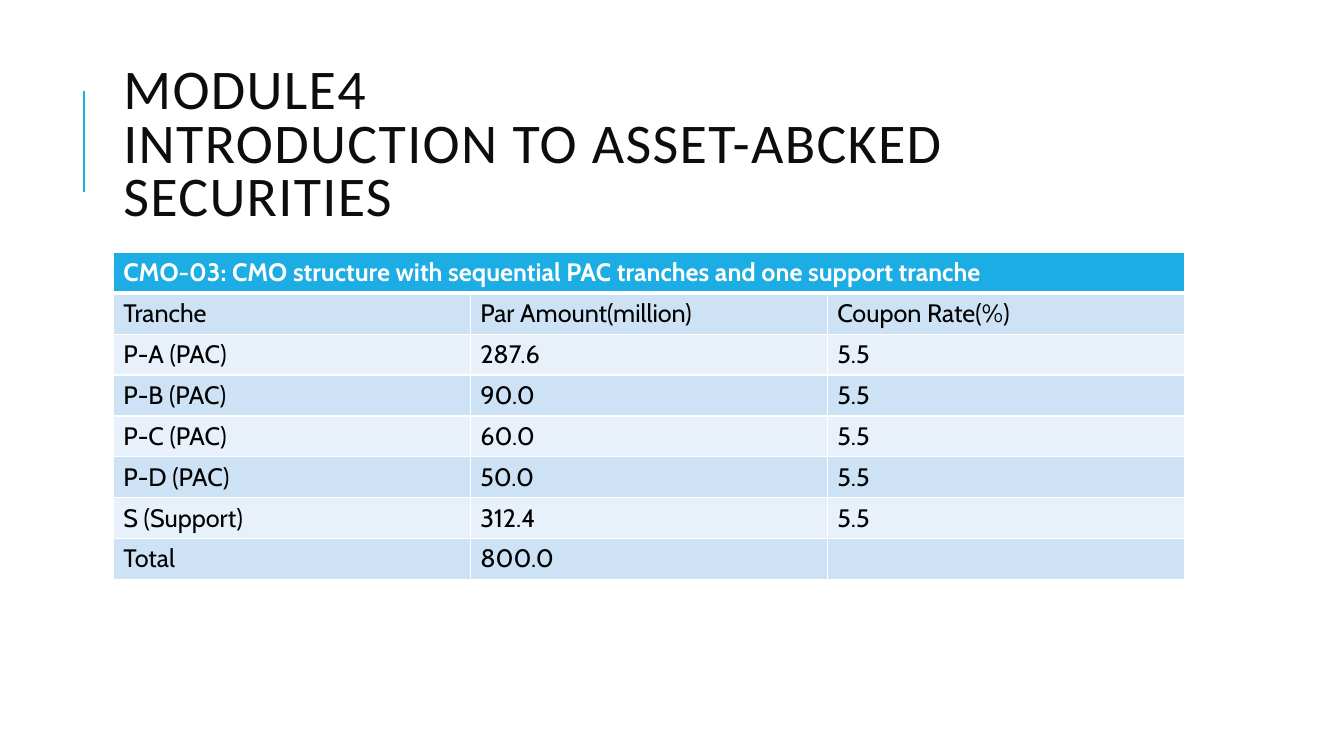
import pptx
import pptx.dml.color
import pptx.enum.shapes
import pptx.enum.text
import pptx.oxml
import pptx.oxml.ns
import pptx.util
from pptx.dml.color import RGBColor
from pptx.util import Pt

ACCENT = RGBColor(0x1C, 0xAD, 0xE4)
WHITE = RGBColor(0xFF, 0xFF, 0xFF)
BLACK = RGBColor(0x00, 0x00, 0x00)
TITLE_INK = RGBColor(0x0D, 0x0D, 0x0D)
BAND_DARK = RGBColor(0xCD, 0xE3, 0xF5)
BAND_LIGHT = RGBColor(0xE8, 0xF1, 0xFA)

TITLE = "MODULE4\vINTRODUCTION TO ASSET-ABCKED SECURITIES"
HEADING = "CMO-03: CMO structure with sequential PAC tranches and one support tranche"
TRANCHES = [
    ("Tranche", "Par Amount(million)", "Coupon Rate(%)"),
    ("P-A (PAC)", "287.6", "5.5"),
    ("P-B (PAC)", "90.0", "5.5"),
    ("P-C (PAC)", "60.0", "5.5"),
    ("P-D (PAC)", "50.0", "5.5"),
    ("S (Support)", "312.4", "5.5"),
    ("Total", "800.0", ""),
]


class SlideBuilder:
    """Holds the text styles and the page being filled."""

    title_font = {"name": "Calibri", "size": Pt(40), "bold": False}
    table_font = {"name": "Cabin", "size": Pt(18)}

    def __init__(self, page):
        self.page = page

    def style(self, para, color, formats):
        for span in para.runs:
            for name, value in formats.items():
                setattr(span.font, name, value)
            span.font.color.rgb = color

    def title(self, text, left, top, width, height):
        box = self.page.shapes.title
        place = {"left": left, "top": top, "width": width, "height": height}
        for name, value in place.items():
            setattr(box, name, Pt(value))
        frame = box.text_frame
        frame.text = text
        frame.word_wrap = True
        frame.auto_size = pptx.enum.text.MSO_AUTO_SIZE.NONE
        frame.vertical_anchor = pptx.enum.text.MSO_ANCHOR.MIDDLE
        para = frame.paragraphs[0]
        para.alignment = pptx.enum.text.PP_ALIGN.LEFT
        para.line_spacing = 0.8
        self.style(para, TITLE_INK, self.title_font)
        for span in para.runs:
            span.font._element.set("spc", "100")

    def line(self, start, end, color, weight):
        connector = self.page.shapes.add_connector(
            pptx.enum.shapes.MSO_CONNECTOR.STRAIGHT,
            *(Pt(value) for value in start + end))
        connector.line.color.rgb = color
        connector.line.width = Pt(weight)
        connector._element.spPr.append(pptx.oxml.parse_xml(
            f"<a:effectLst {pptx.oxml.ns.nsdecls('a')}/>"))

    def borders(self, cell, **weights):
        properties = cell._tc.get_or_add_tcPr()
        for side in "LRTB":
            width = Pt(weights.get(side, 1))
            properties.append(pptx.oxml.parse_xml(
                f"<a:ln{side} {pptx.oxml.ns.nsdecls('a')} w='{width}'>"
                f"<a:solidFill><a:srgbClr val='{WHITE}'/></a:solidFill>"
                f"</a:ln{side}>"))

    def table(self, heading, rows, left, top, width, row_height):
        count, columns = len(rows) + 1, len(rows[0])
        table = self.page.shapes.add_table(
            count, columns, Pt(left), Pt(top), Pt(width),
            Pt(row_height * count)).table
        table.cell(0, 0).merge(table.cell(0, columns - 1))
        heading_row = (heading,) + ("",) * (columns - 1)
        for row, texts in enumerate([heading_row, *rows]):
            table.rows[row].height = Pt(row_height)
            fill = BAND_DARK if row % 2 else BAND_LIGHT
            fill, ink = (fill, BLACK) if row else (ACCENT, WHITE)
            # A thick rule parts the heading from the body
            weights = {0: {"B": 3}, 1: {"T": 3}}.get(row, {})
            for column, text in enumerate(texts):
                cell = table.cell(row, column)
                self.borders(cell, **weights)
                cell.fill.solid()
                cell.fill.fore_color.rgb = fill
                if text:
                    cell.text = text
                    self.style(cell.text_frame.paragraphs[0], ink,
                               {**self.table_font, "bold": row == 0})


def main():
    deck = pptx.Presentation()
    deck.slide_width, deck.slide_height = Pt(960), Pt(540)
    builder = SlideBuilder(deck.slides.add_slide(deck.slide_layouts[5]))

    # Title with its accent rule
    builder.line((60, 137), (60, 65), ACCENT, 1.5)
    builder.title(TITLE, 80.9, 46, 765, 118)

    # Tranche table
    builder.table(HEADING, TRANCHES, 80.9, 180.3, 765, 29.2)

    deck.save("out.pptx")


if __name__ == "__main__":
    main()
